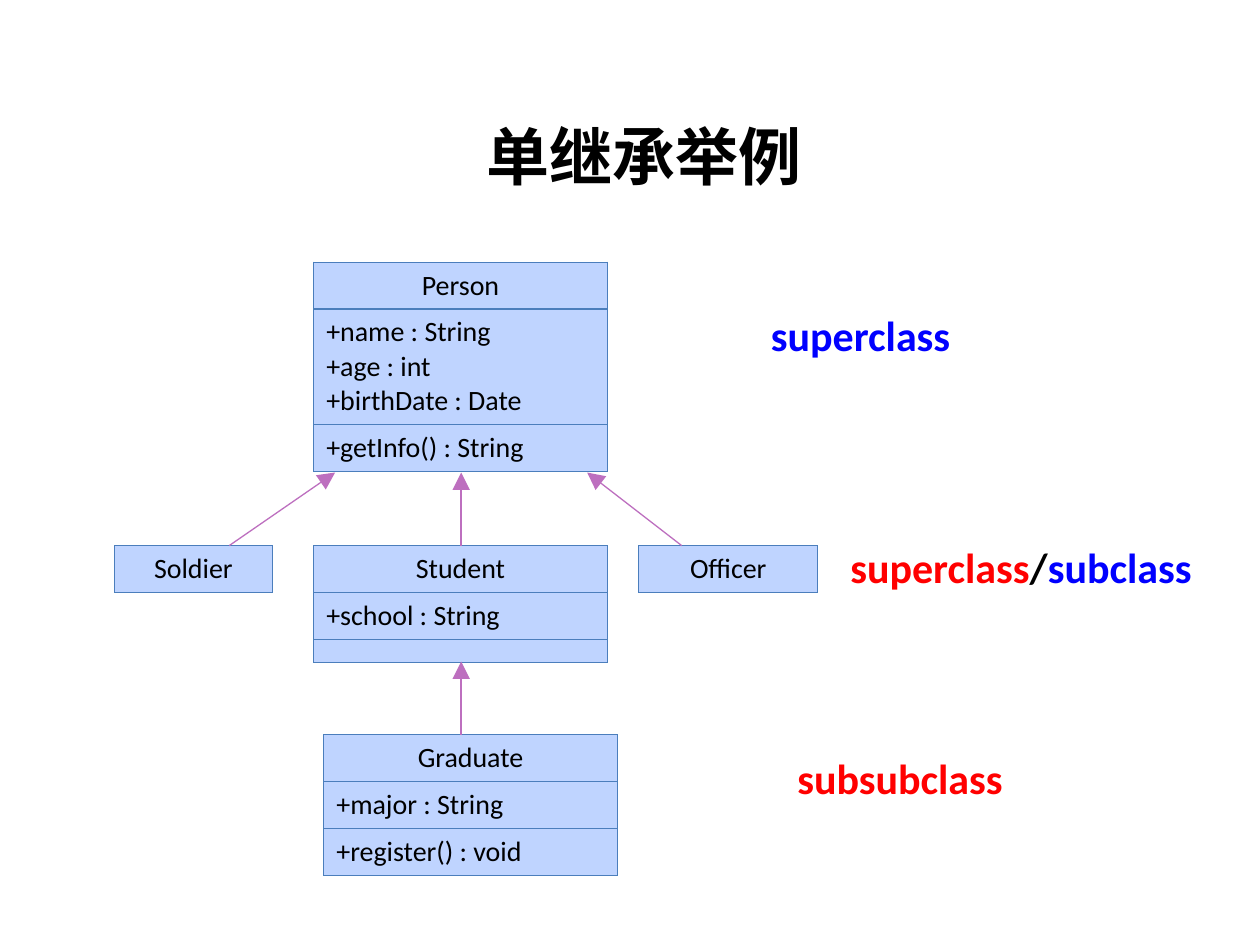
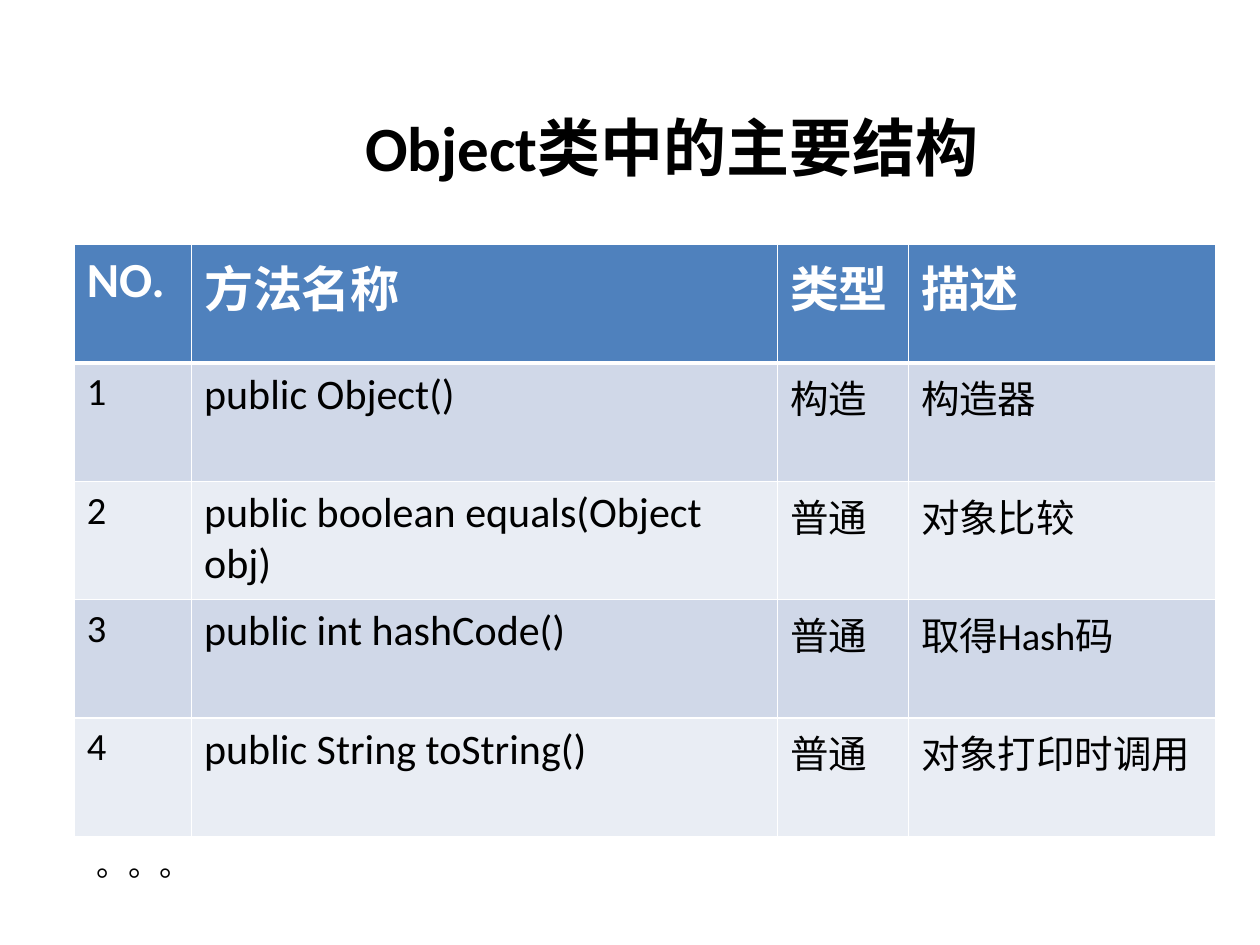
"""Build two slides on single inheritance and the Object class."""
from dataclasses import dataclass

import lxml.etree
import pptx
import pptx.dml.color
import pptx.enum.shapes
import pptx.enum.text
import pptx.oxml.ns
import pptx.util

Inches = pptx.util.Inches
Pt = pptx.util.Pt
Align = pptx.enum.text.PP_ALIGN
Anchor = pptx.enum.text.MSO_ANCHOR

FONT = "Calibri"
BLACK, WHITE, BLUE, RED = "000000", "FFFFFF", "0000FF", "FF0000"
CLASS_FILL, CLASS_BORDER, ARROW = "BFD4FF", "4B7EBC", "BD6FBF"
HEADER_FILL, BAND_FILLS = "4F81BD", ("D0D8E8", "E9EDF4")
LINE_ROW, EMPTY_ROW = 0.37, 0.18
EXTRA_LINE = 0.27


@dataclass
class ClassBox:
    left: float
    top: float
    width: float
    sections: tuple[str, ...]


@dataclass
class Arrow:
    start: tuple[float, float]
    end: tuple[float, float]


@dataclass
class Label:
    left: float
    top: float
    width: float
    height: float
    size: int
    spans: tuple[tuple[str, str], ...]
    bold: bool = True


CLASSES = (
    ClassBox(2.49, 2.08, 2.33, ("Person", "+name : String\n+age : int\n+birthDate : Date",
                                "+getInfo() : String")),
    ClassBox(2.49, 4.33, 2.33, ("Student", "+school : String", "")),
    ClassBox(0.91, 4.33, 1.25, ("Soldier",)),
    ClassBox(5.07, 4.33, 1.42, ("Officer",)),
    ClassBox(2.57, 5.83, 2.33, ("Graduate", "+major : String", "+register() : void")),
)
ARROWS = (
    Arrow((3.66, 4.33), (3.66, 3.75)),
    Arrow((5.41, 4.33), (4.66, 3.75)),
    Arrow((1.82, 4.33), (2.66, 3.75)),
    Arrow((3.66, 5.83), (3.66, 5.25)),
)
ROLES = (
    Label(6.02, 2.41, 2.08, 0.5, 24, (("superclass", BLUE),)),
    Label(6.65, 4.25, 2.99, 0.5, 24, (("superclass", RED), ("/", BLACK), ("subclass", BLUE))),
    Label(6.23, 5.92, 2, 0.5, 24, (("subsubclass", RED),)),
)
MORE = Label(0.67, 6.66, 2.99, 0.4, 18, (("。。。", BLACK),), bold=False)
METHOD_COLUMNS = (0.93, 4.65, 1.04, 2.44)
METHODS = (
    ("NO.", "方法名称", "类型", "描述"),
    ("1", "public Object()", "构造", "构造器"),
    ("2", "public boolean equals(Object obj)", "普通", "对象比较"),
    ("3", "public int hashCode()", "普通", "取得Hash码"),
    ("4", "public String toString()", "普通", "对象打印时调用"),
)


def rgb(color: str) -> pptx.dml.color.RGBColor:
    return pptx.dml.color.RGBColor.from_string(color)


def add_xml(parent, tag: str, **attributes: str):
    return lxml.etree.SubElement(parent, pptx.oxml.ns.qn(tag), **attributes)


def format_span(span, size: float, color: str, bold: bool = False, font: str = FONT) -> None:
    span.font.name = font
    span.font.size = Pt(size)
    span.font.bold = bold
    span.font.color.rgb = rgb(color)


def add_title(page, text: str, area: tuple[float, ...], font: str, align, anchor) -> None:
    title = page.shapes.title
    title.left, title.top, title.width, title.height = map(Inches, area)
    frame = title.text_frame
    frame.text = text
    frame.auto_size = pptx.enum.text.MSO_AUTO_SIZE.NONE
    frame.vertical_anchor = anchor
    para = frame.paragraphs[0]
    para.alignment = align
    format_span(para.runs[0], 36, BLACK, True, font)


def add_label(page, label: Label) -> None:
    box = page.shapes.add_textbox(*map(Inches, (label.left, label.top, label.width, label.height)))
    box.text_frame.word_wrap = True
    para = box.text_frame.paragraphs[0]
    for text, color in label.spans:
        span = para.add_run()
        span.text = text
        format_span(span, label.size, color, label.bold)


def add_arrow(page, arrow: Arrow) -> None:
    connector = page.shapes.add_connector(
        pptx.enum.shapes.MSO_CONNECTOR.STRAIGHT, *map(Inches, arrow.start + arrow.end))
    connector.line.color.rgb = rgb(ARROW)
    connector.line.width = Pt(0.75)
    add_xml(connector.line._get_or_add_ln(), "a:tailEnd", type="triangle", w="lg", len="lg")
    add_xml(connector._element.spPr, "a:effectLst")


def add_grid(page, left: float, top: float, columns: tuple[float, ...], rows: list[float]):
    area = map(Inches, (left, top, sum(columns), sum(rows)))
    table = page.shapes.add_table(len(rows), len(columns), *area).table
    for column, width in zip(table.columns, columns):
        column.width = Inches(width)
    for row, height in zip(table.rows, rows):
        row.height = Inches(height)
    return table


def format_cell(cell, text: str, size: float, color: str, fill: str, border: str,
                width: float, bottom: float, bold: bool = False) -> None:
    cell.text_frame.text = text
    for para in cell.text_frame.paragraphs:
        for span in para.runs:
            format_span(span, size, color, bold)
    properties = cell._tc.get_or_add_tcPr()
    for side, points in (("L", width), ("R", width), ("T", width), ("B", bottom)):
        line = add_xml(properties, f"a:ln{side}", w=str(Pt(points)))
        add_xml(add_xml(line, "a:solidFill"), "a:srgbClr", val=border)
    cell.fill.solid()
    cell.fill.fore_color.rgb = rgb(fill)


def add_class(page, box: ClassBox) -> None:
    heights = [LINE_ROW + EXTRA_LINE * section.count("\n") if section else EMPTY_ROW
               for section in box.sections]
    table = add_grid(page, box.left, box.top, (box.width,), heights)
    for index, section in enumerate(box.sections):
        cell = table.cell(index, 0)
        format_cell(cell, section, 16, BLACK, CLASS_FILL, CLASS_BORDER, 0.75, 0.75)
        cell.vertical_anchor = Anchor.MIDDLE
        first = cell.text_frame.paragraphs[0]
        if index == 0:
            first.alignment = Align.CENTER
        if not section:
            add_xml(first._p, "a:endParaRPr", sz="500")


def add_methods(page) -> None:
    table = add_grid(page, 0.59, 1.94, METHOD_COLUMNS, [0.94] * len(METHODS))
    for row, texts in enumerate(METHODS):
        for column, text in enumerate(texts):
            cell = table.cell(row, column)
            if row == 0:
                format_cell(cell, text, 28, WHITE, HEADER_FILL, WHITE, 1, 3, True)
            else:
                size = 24 if column == 1 else 22
                fill = BAND_FILLS[(row - 1) % 2]
                format_cell(cell, text, size, BLACK, fill, WHITE, 1, 1)


def build_inheritance(page) -> None:
    add_title(page, "单继承举例", (2.98, 0.84, 4.27, 0.79), "Times New Roman",
              Align.CENTER, Anchor.MIDDLE)
    for box in CLASSES:
        add_class(page, box)
    for arrow in ARROWS:
        add_arrow(page, arrow)
    for label in ROLES:
        add_label(page, label)


def build_object(page) -> None:
    add_title(page, "Object类中的主要结构", (2.8, 0.81, 5.67, 0.71), FONT,
              Align.LEFT, Anchor.TOP)
    add_methods(page)
    add_label(page, MORE)


def main() -> None:
    deck = pptx.Presentation()
    deck.slide_width, deck.slide_height = Inches(10), Inches(7.5)
    for build in (build_inheritance, build_object):
        build(deck.slides.add_slide(deck.slide_layouts[5]))
    deck.save("out.pptx")


main()
